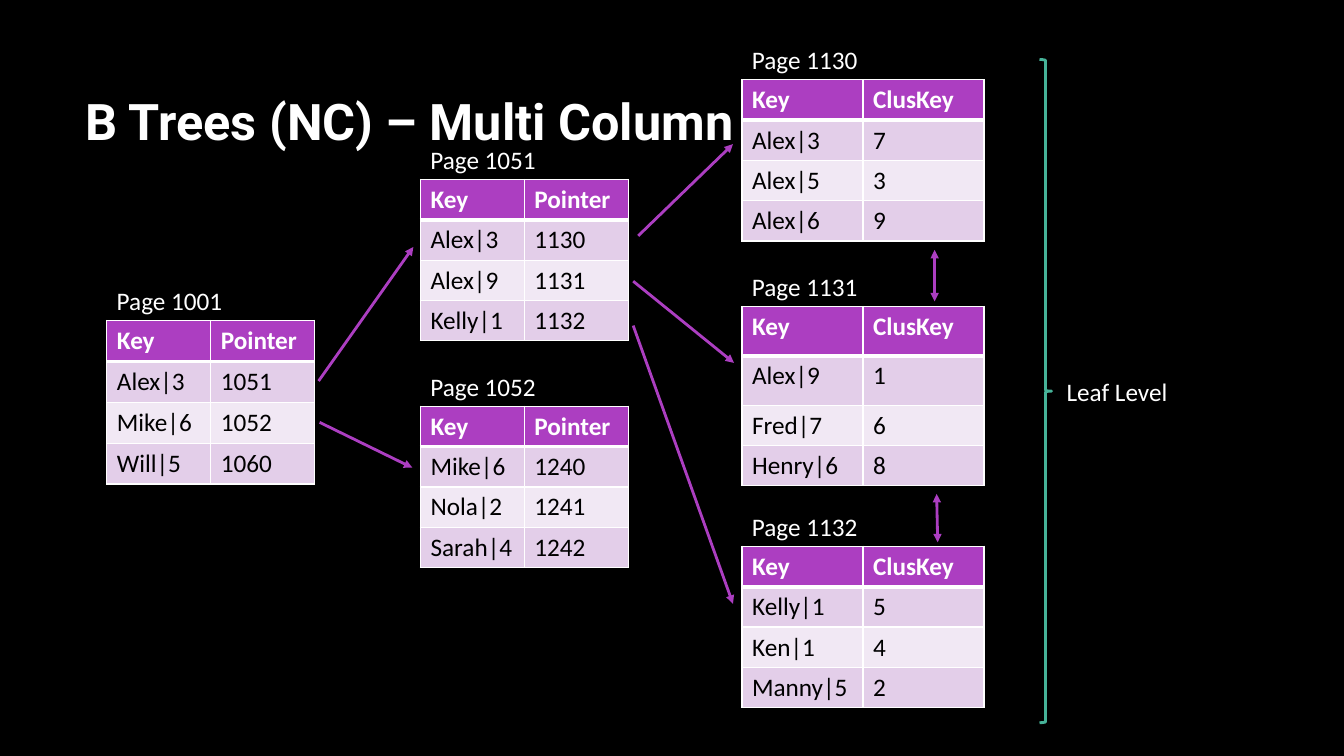
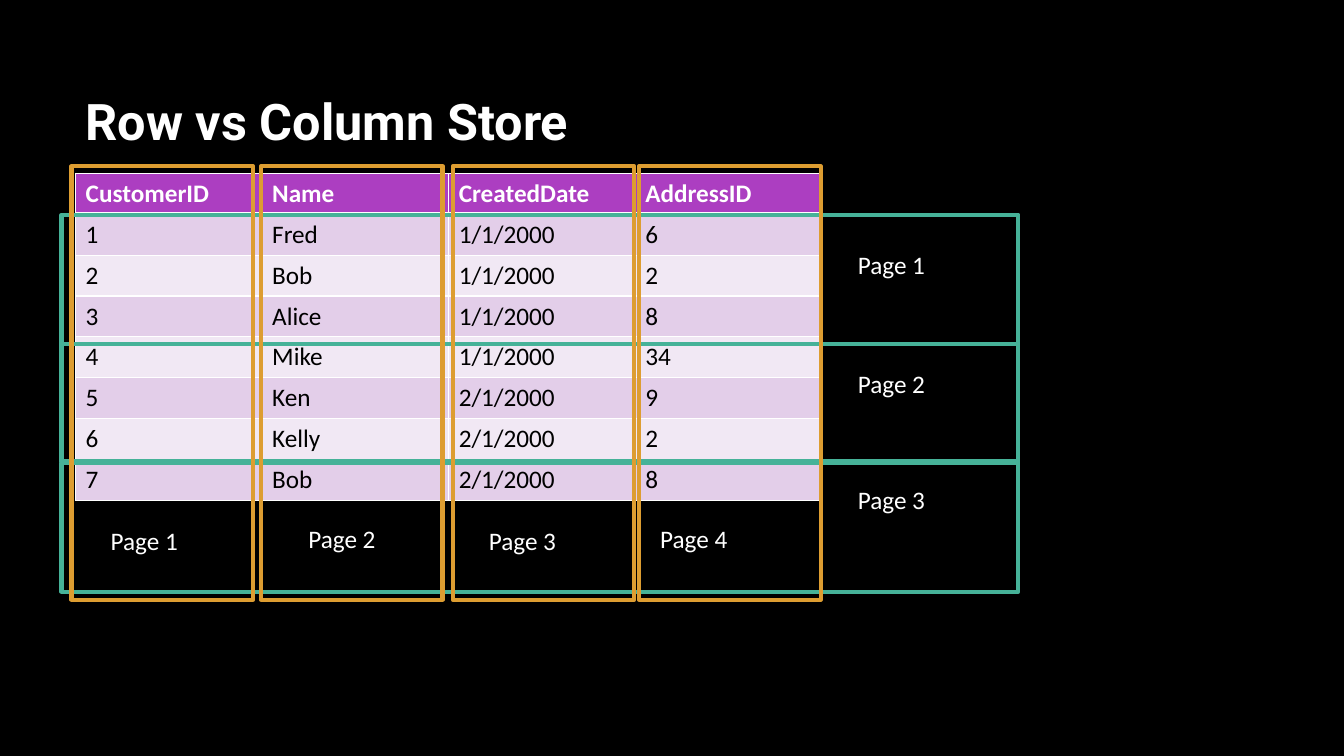
from lxml import etree
from pptx import Presentation, util as u
from pptx.dml.color import RGBColor
from pptx.enum import shapes, text
from pptx.oxml import ns

IN = u.Inches
rgb = RGBColor.from_string
WHITE, BLACK, PURPLE, GREEN, ORANGE = "FFFFFF", "000000", "AC3EC1", "46B298", "DD9D31"
BANDS = ["F1E8F4", "E3CEE9"]
ROW = 0.4  # height of a table row and of a label

prs = Presentation()
prs.slide_width, prs.slide_height = IN(13.33), IN(7.5)

# Shared background and title position
fill = prs.slide_master.background.fill
fill.solid()
fill.fore_color.rgb = rgb(BLACK)
layout = prs.slide_layouts[5]
title = layout.placeholders[0]
title.left, title.top, title.width, title.height = IN(0.75), IN(0.67), IN(11.08), IN(1.05)
title.text_frame.vertical_anchor = text.MSO_ANCHOR.MIDDLE


def write(tf, words, color=WHITE, bold=False, font="Calibri", size=18):
    tf.word_wrap = True
    p = tf.paragraphs[0]
    p.alignment = text.PP_ALIGN.LEFT
    r = p.add_run()
    r.text = words
    r.font.name, r.font.size, r.font.bold = font, u.Pt(size), bold
    r.font.color.rgb = rgb(color)


def add_grid(s, x, y, col_width, heights, rows):
    n_cols = len(rows[0])
    table = s.shapes.add_table(len(rows), n_cols, IN(x), IN(y),
                               IN(col_width * n_cols), IN(sum(heights))).table
    table.horz_banding = False
    for col in table.columns:
        col.width = IN(col_width)
    for i, row in enumerate(rows):
        table.rows[i].height = IN(heights[i])
        for j, words in enumerate(row):
            cell = table.cell(i, j)
            cell.fill.solid()
            cell.fill.fore_color.rgb = rgb(BANDS[i % 2] if i else PURPLE)
            write(cell.text_frame, words, BLACK if i else WHITE, bold=not i)
            # White borders, thicker below the header
            tcPr = cell._tc.get_or_add_tcPr()
            for k, side in enumerate(["lnL", "lnR", "lnT", "lnB"]):
                thick = (i, side) in [(0, "lnB"), (1, "lnT")]
                ln = etree.Element(ns.qn("a:" + side), w=str(u.Pt(3 if thick else 1)))
                solid = etree.SubElement(ln, ns.qn("a:solidFill"))
                etree.SubElement(solid, ns.qn("a:srgbClr"), val=WHITE)
                tcPr.insert(k, ln)


# Slide 1: index pages as a tree
s = prs.slides.add_slide(layout)
write(s.shapes.title.text_frame, "B Trees (NC) – Multi Column", bold=True, font="Roboto", size=36)

ROOT, MIDDLE, LEAF = (1.06, 1.03, "Pointer"), (4.17, 1.03, "Pointer"), (7.36, 1.2, "ClusKey")
EVEN = [ROW] * 4
pages = [
    ("Page 1001", ROOT, 3.18, EVEN, [("Alex|3", "1051"), ("Mike|6", "1052"), ("Will|5", "1060")]),
    ("Page 1051", MIDDLE, 1.78, EVEN, [("Alex|3", "1130"), ("Alex|9", "1131"), ("Kelly|1", "1132")]),
    ("Page 1052", MIDDLE, 4.03, EVEN, [("Mike|6", "1240"), ("Nola|2", "1241"), ("Sarah|4", "1242")]),
    ("Page 1130", LEAF, 0.79, EVEN, [("Alex|3", "7"), ("Alex|5", "3"), ("Alex|6", "9")]),
    ("Page 1131", LEAF, 3.04, [0.49, 0.49, ROW, ROW],
     [("Alex|9", "1"), ("Fred|7", "6"), ("Henry|6", "8")]),
    ("Page 1132", LEAF, 5.42, EVEN, [("Kelly|1", "5"), ("Ken|1", "4"), ("Manny|5", "2")]),
]
for name, (x, col_width, second), y, heights, rows in pages:
    add_grid(s, x, y, col_width, heights, [("Key", second)] + rows)
    write(s.shapes.add_textbox(IN(x), IN(y - ROW), IN(1.6), IN(ROW)).text_frame, name)

# Pointers between pages; neighbouring leaves point both ways
arrows = [
    (3.16, 3.78, 4.1, 2.45, False), (3.17, 4.19, 4.09, 4.64, False),
    (6.33, 2.34, 7.27, 1.43, False), (6.28, 2.79, 7.28, 3.6, False),
    (6.28, 3.23, 7.27, 5.99, False),
    (9.27, 2.48, 9.27, 2.99, True), (9.29, 4.9, 9.3, 5.38, True),
]
for x1, y1, x2, y2, both in arrows:
    arrow = s.shapes.add_connector(shapes.MSO_CONNECTOR.STRAIGHT, IN(x1), IN(y1), IN(x2), IN(y2))
    arrow.line.color.rgb, arrow.line.width = rgb(PURPLE), u.Pt(2)
    ln = arrow.line._get_or_add_ln()
    for end in ["headEnd", "tailEnd"] if both else ["tailEnd"]:
        etree.SubElement(ln, ns.qn("a:" + end), type="triangle")
    etree.SubElement(arrow._element.spPr, ns.qn("a:effectLst"))

# Leaf level brace
brace = s.shapes.add_shape(shapes.MSO_SHAPE.RIGHT_BRACE, IN(10.31), IN(0.59), IN(0.12), IN(6.58))
brace.shadow.inherit = False
brace.fill.background()
brace.line.color.rgb, brace.line.width = rgb(GREEN), u.Pt(2)
write(s.shapes.add_textbox(IN(10.48), IN(3.68), IN(1.88), IN(ROW)).text_frame, "Leaf Level")

# Slide 2: the same table stored by rows and by columns
s = prs.slides.add_slide(layout)
write(s.shapes.title.text_frame, "Row vs Column Store", bold=True, font="Roboto", size=36)
add_grid(s, 0.75, 1.72, 1.85, [0.405] * 8, [
    ("CustomerID", "Name", "CreatedDate", "AddressID"),
    ("1", "Fred", "1/1/2000", "6"),
    ("2", "Bob", "1/1/2000", "2"),
    ("3", "Alice", "1/1/2000", "8"),
    ("4", "Mike", "1/1/2000", "34"),
    ("5", "Ken", "2/1/2000", "9"),
    ("6", "Kelly", "2/1/2000", "2"),
    ("7", "Bob", "2/1/2000", "8"),
])

# Page frames: left, top, width, height, then the label's left and top
row_pages = [(0.61, y, 9.49, h, 8.41, label_y)
             for y, h, label_y in [(2.13, 1.28, 2.42), (3.41, 1.17, 3.61), (4.59, 1.28, 4.76)]]
column_pages = [(x, 1.65, 1.8, 4.3, label_x, label_y)
                for x, label_x, label_y in [(0.71, 1, 5.16), (2.59, 2.96, 5.14),
                                            (4.49, 4.75, 5.16), (6.34, 6.45, 5.14)]]
for color, frames in [(GREEN, row_pages), (ORANGE, column_pages)]:
    for x, y, w, h, _, _ in frames:
        frame = s.shapes.add_shape(shapes.MSO_SHAPE.RECTANGLE, IN(x), IN(y), IN(w), IN(h))
        frame.shadow.inherit = False
        frame.fill.background()
        frame.line.color.rgb, frame.line.width = rgb(color), u.Pt(3)
    for n, (*_, x, y) in enumerate(frames, 1):
        write(s.shapes.add_textbox(IN(x), IN(y), IN(1.57), IN(ROW)).text_frame, f"Page {n}")

prs.save("out.pptx")
